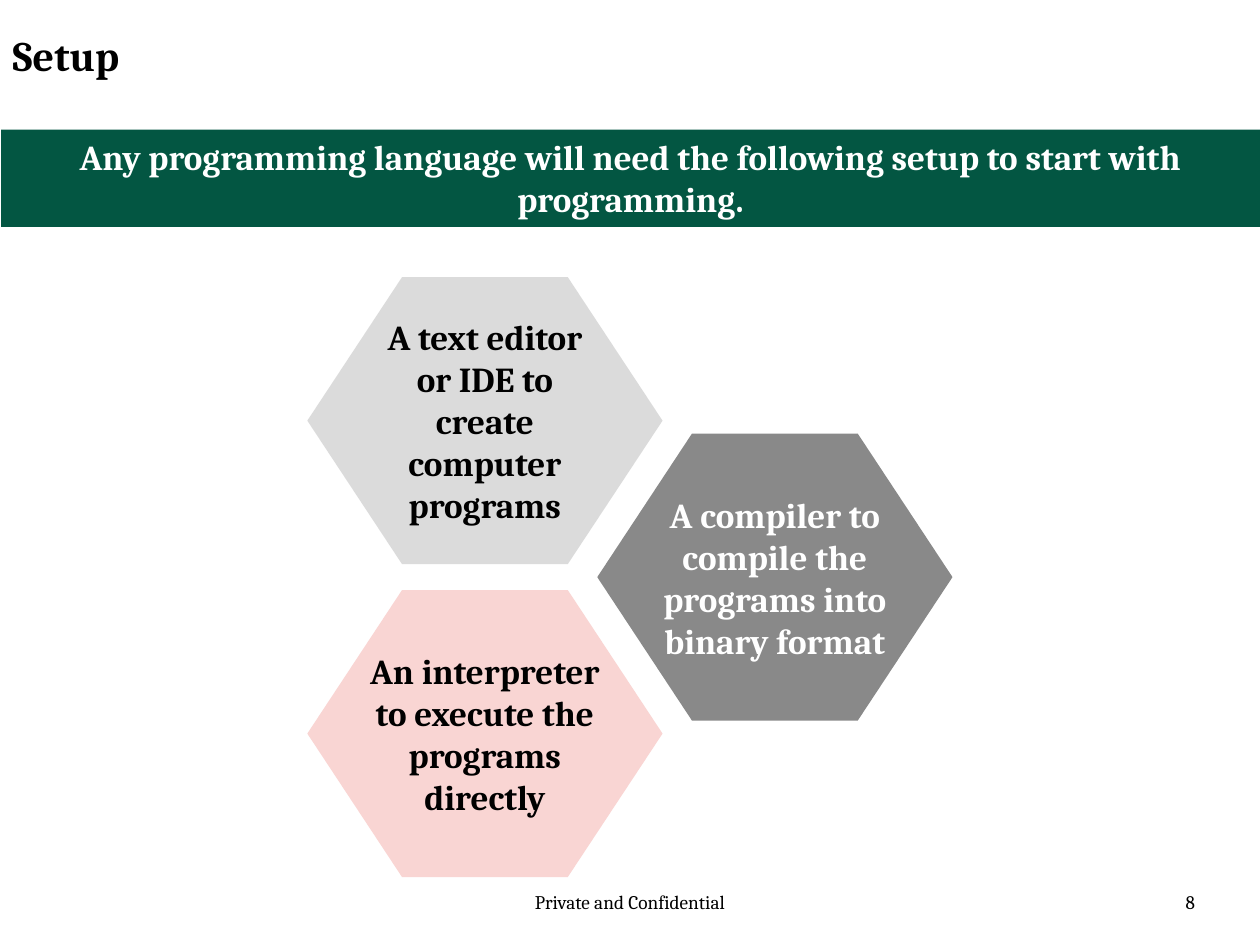
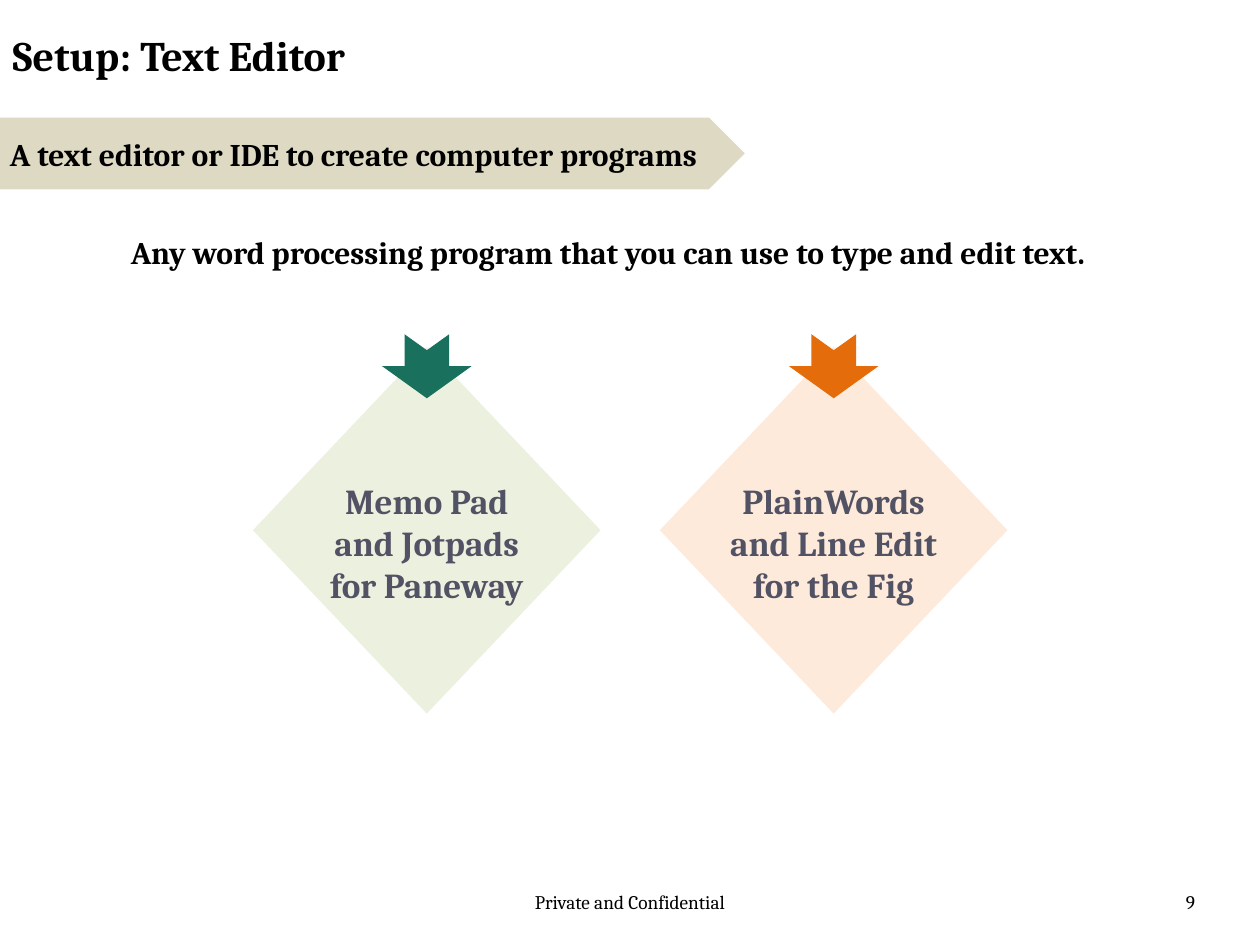
from lxml import etree
from pptx import Presentation
from pptx.dml.color import RGBColor
from pptx.enum.shapes import MSO_SHAPE as Preset
from pptx.enum.text import MSO_ANCHOR as Anchor, MSO_AUTO_SIZE as AutoSize, PP_ALIGN as Align
from pptx.oxml.ns import qn
from pptx.util import Pt

FONT = "Cambria"
BLACK, WHITE, SLATE = "000000", "FFFFFF", "525265"
GREEN, GREY, SILVER, ROSE = "035642", "808080", "D9D9D9", "F9D5D3"
SAND, MINT, PEACH, TEAL, ORANGE = "DDD9C3", "EBF1DE", "FDEADA", "19705D", "E46C0A"
FIRST_NUMBER = 8
TITLE_ONLY = 5
EVEN_INSETS = (7.2, 7.2)
DEFAULT_INSETS = (7.2, 3.6)


def color(hex_string):
    return RGBColor.from_string(hex_string)


def set_attributes(target, values):
    for name, value in values.items():
        setattr(target, name, value)


def place(shape, box):
    set_attributes(shape, dict(zip(("left", "top", "width", "height"), map(Pt, box))))


class Deck:
    """Holds the shared style and the slide being built."""

    def __init__(self):
        self.presentation = Presentation()
        set_attributes(self.presentation, {"slide_width": Pt(720), "slide_height": Pt(540)})
        self.presentation.element.set("firstSlideNum", str(FIRST_NUMBER))
        self.slide = None

    def fill_text(self, shape, text, size=20, ink=BLACK, bold=True, align=Align.LEFT,
                  anchor=Anchor.TOP, insets=DEFAULT_INSETS, wrap=True, grow=False):
        side, end = map(Pt, insets)
        frame = shape.text_frame
        frame.text = text
        set_attributes(frame, {
            "word_wrap": wrap, "vertical_anchor": anchor,
            "auto_size": AutoSize.SHAPE_TO_FIT_TEXT if grow else AutoSize.NONE,
            "margin_left": side, "margin_right": side,
            "margin_top": end, "margin_bottom": end,
        })
        paragraph = frame.paragraphs[0]
        paragraph.alignment = align
        for run in paragraph.runs:
            set_attributes(run.font, {"name": FONT, "size": Pt(size), "bold": bold})
            run.font.color.rgb = color(ink)

    def add_slide(self, title, title_width):
        layout = self.presentation.slide_layouts[TITLE_ONLY]
        self.slide = self.presentation.slides.add_slide(layout)
        title_shape = self.slide.shapes.title
        place(title_shape, (0, 9.4, title_width, 44))
        self.fill_text(title_shape, title, 24, anchor=Anchor.MIDDLE,
                       insets=EVEN_INSETS, wrap=False, grow=True)
        self.add_footer()

    def add_footer(self):
        self.add_text((246, 505.4, 228, 28.8), "Private and Confidential",
                      size=11, bold=False, align=Align.CENTER)
        number = FIRST_NUMBER + len(self.presentation.slides) - 1
        shape = self.add_text((522, 505.4, 168, 28.8), str(number),
                              size=11, bold=False, align=Align.RIGHT)
        self.make_number_field(shape.text_frame.paragraphs[0].runs[0])

    @staticmethod
    def make_number_field(run):
        """Turn a run into an automatic slide number."""
        element = run._r
        field = etree.Element(qn("a:fld"), type="slidenum",
                              id="{B6F15528-21DE-4FAA-801E-634DDDAF4B2B}")
        element.addprevious(field)
        field.extend(list(element))
        element.getparent().remove(element)

    def add_text(self, box, text, **style):
        shape = self.slide.shapes.add_textbox(*map(Pt, box))
        self.fill_text(shape, text, **style)
        return shape

    def add_shape(self, preset, box, fill, text="", opacity=100, rotation=0,
                  adjustment=None, **style):
        shape = self.slide.shapes.add_shape(preset, *map(Pt, box))
        shape.rotation = rotation
        shape.shadow.inherit = False
        shape.fill.solid()
        shape.fill.fore_color.rgb = color(fill)
        shape.line.fill.background()
        if opacity < 100:
            rgb = shape.fill._xPr.find(".//" + qn("a:srgbClr"))
            etree.SubElement(rgb, qn("a:alpha"), val=str(opacity * 1000))
        if adjustment is not None:
            shape.adjustments[0] = adjustment
        if text:
            self.fill_text(shape, text, **style)


def build_setup(deck):
    deck.add_slide("Setup", 77.8)
    deck.add_shape(Preset.RECTANGLE, (0.7, 74, 719.3, 55.7), GREEN,
                   "Any programming language will need the following setup "
                   "to start with programming.",
                   ink=WHITE, align=Align.CENTER, grow=True)
    hexagons = [
        ("A text editor or IDE to create computer programs", SILVER, BLACK, 92),
        ("A compiler to compile the programs into binary format", GREY, WHITE, 92),
        ("An interpreter to execute the programs directly", ROSE, BLACK, 100),
    ]
    for index, (text, fill, ink, opacity) in enumerate(hexagons):
        left = 175.6 + 165.7 * (index % 2)
        top = 158.4 + 89.4 * index
        deck.add_shape(Preset.HEXAGON, (left, top, 203, 164), fill, text,
                       opacity=opacity, adjustment=0.33, ink=ink,
                       align=Align.CENTER, anchor=Anchor.MIDDLE, insets=(0, 0))


def build_text_editor(deck):
    deck.add_slide("Setup: Text Editor", 212.4)
    label = {"size": 18, "anchor": Anchor.MIDDLE, "insets": EVEN_INSETS}
    deck.add_shape(Preset.PENTAGON, (-1.4, 67.2, 427, 41), SAND,
                   "A text editor or IDE to create computer programs", **label)
    deck.add_text((67.7, 126, 575.3, 36),
                  "Any word processing program that you can use to type and edit text.",
                  grow=True, **label)
    editors = [
        ("Memo Pad and Jotpads for Paneway", MINT, TEAL),
        ("PlainWords and Line Edit for the Fig", PEACH, ORANGE),
    ]
    for index, (text, fill, arrow_fill) in enumerate(editors):
        center = 243.9 + 232.5 * index
        deck.add_shape(Preset.DIAMOND, (center - 99.3, 198.2, 198.6, 209.6), fill)
        deck.add_text((center - 68, 270.7, 136, 80), text,
                      ink=SLATE, align=Align.CENTER, grow=True)
        deck.add_shape(Preset.NOTCHED_RIGHT_ARROW, (center - 18.3, 183.8, 36.6, 51),
                       arrow_fill, rotation=90)


def main():
    deck = Deck()
    build_setup(deck)
    build_text_editor(deck)
    deck.presentation.save("out.pptx")


if __name__ == "__main__":
    main()
